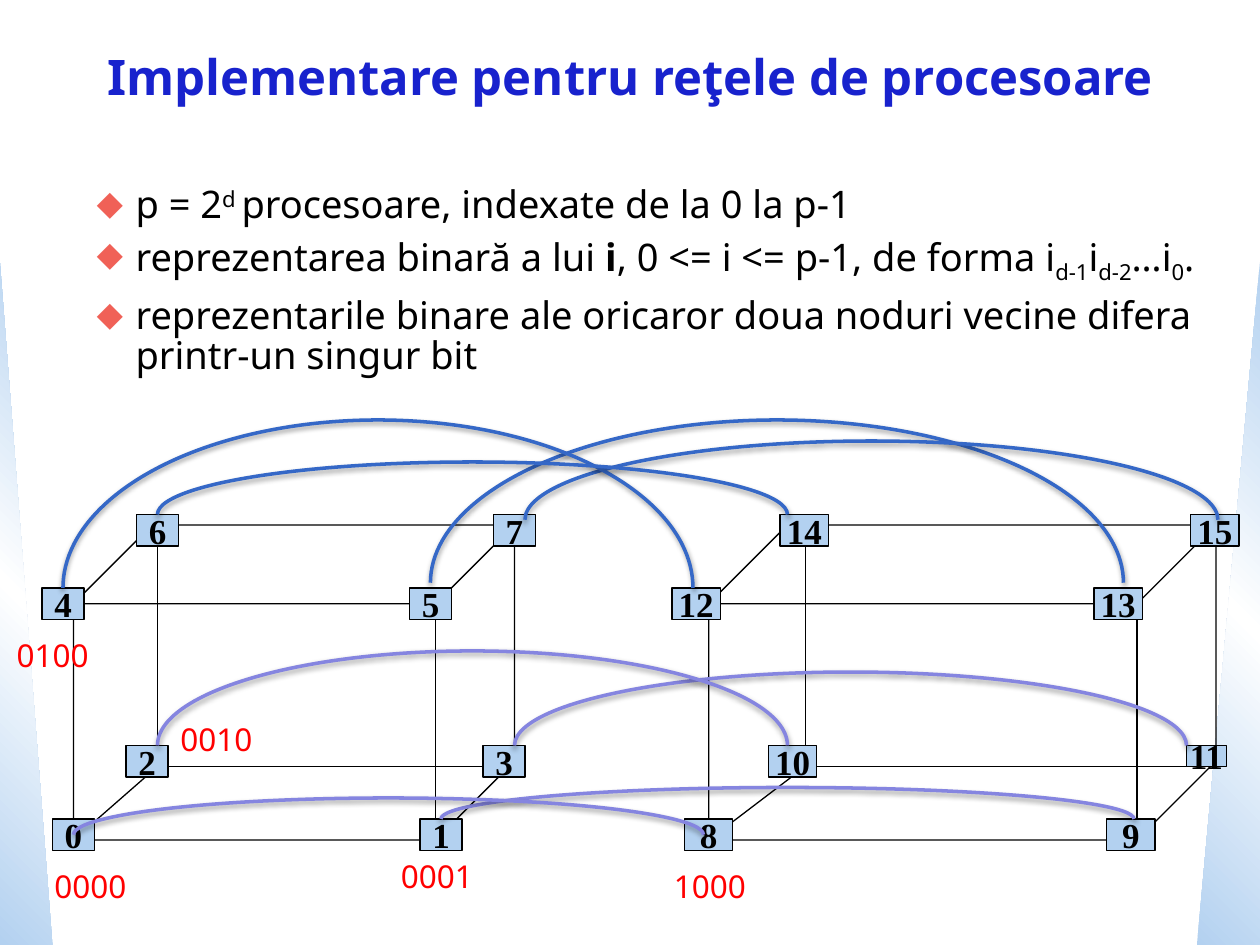
from typing import NamedTuple

from pptx import Presentation
from pptx.dml.color import RGBColor
from pptx.enum.shapes import MSO_CONNECTOR, MSO_SHAPE
from pptx.enum.text import MSO_ANCHOR, MSO_AUTO_SIZE, PP_ALIGN
from pptx.oxml import parse_xml
from pptx.oxml.ns import nsdecls
from pptx.util import Inches, Pt

COLORS = {
    "title": "1822CD", "ink": "000000", "bullet": "F06157", "node": "B3D1F0",
    "upper": "3568C7", "lower": "8585E0", "code": "FF0000", "white": "FFFFFF",
}
SANS, SERIF = "Noto Sans", "Times New Roman"
COLS, ROWS = 120, 90
SUB, SUP = -25, 30
NS = nsdecls("a")


class Box(NamedTuple):
    col: float
    row: float
    cols: float
    rows: float


class Node(NamedTuple):
    name: str
    col: float
    row: float
    cols: float = 4
    rows: float = 3


class Cube(NamedTuple):
    box: Box
    depth: float
    nodes: list


class Arc(NamedTuple):
    box: Box
    color: str


class Code(NamedTuple):
    text: str
    col: float
    row: float


WIDE = 4.6
CUBES = [
    Cube(Box(7, 50, 42, 30), 8, [
        Node("0", 5, 78), Node("1", 40, 78), Node("2", 12, 71), Node("3", 46, 71),
        Node("4", 4, 56), Node("5", 39, 56), Node("6", 13, 49), Node("7", 47, 49),
    ]),
    Cube(Box(67.5, 50, 48.3, 30), 9.2, [
        Node("8", 65.2, 78, WIDE), Node("9", 105.4, 78, WIDE),
        Node("10", 73.2, 71, WIDE), Node("11", 113, 71, 3.8, 2),
        Node("12", 64, 56, WIDE), Node("13", 104.2, 56, WIDE),
        Node("14", 74.3, 49, WIDE), Node("15", 113.4, 49, WIDE),
    ]),
]
ARCS = [
    Arc(Box(41, 40, 66, 31), "upper"), Arc(Box(50, 42, 66, 15), "upper"),
    Arc(Box(6, 40, 60, 32), "upper"), Arc(Box(15, 44, 60, 10), "upper"),
    Arc(Box(42, 75, 66, 6), "lower"), Arc(Box(49, 64, 64, 14), "lower"),
    Arc(Box(7, 76, 60, 7), "lower"), Arc(Box(15, 62, 60, 18), "lower"),
]
CODES = [
    Code("0000", 4, 82), Code("0001", 37, 81), Code("0100", 0.4, 60),
    Code("0010", 16, 68), Code("1000", 63, 82),
]
BULLETS = [
    [("p = 2", {}), ("d ", {"base": SUP}), ("procesoare, indexate de la 0 la p-1", {})],
    [("reprezentarea binară a lui ", {}), ("i", {"bold": True}),
     (", 0 <= i <= p-1, de forma i", {}), ("d-1", {"base": SUB}), ("i", {}),
     ("d-2", {"base": SUB}), ("…i", {}), ("0", {"base": SUB}), (".", {})],
    [("reprezentarile binare ale oricaror doua noduri vecine difera "
      "printr-un singur bit", {})],
]

prs = Presentation()
prs.slide_width, prs.slide_height = Inches(10), Inches(7.5)
slide = prs.slides.add_slide(prs.slide_layouts[1])
shapes = slide.shapes


def x(col: float) -> int:
    return round(prs.slide_width * col / COLS)


def y(row: float) -> int:
    return round(prs.slide_height * row / ROWS)


def place(box: Box) -> tuple:
    return x(box.col), y(box.row), x(box.cols), y(box.rows)


def rgb(name: str) -> RGBColor:
    return RGBColor.from_string(COLORS[name])


def write(p, text: str, *, size: float, font: str = SANS, color: str = "ink",
          bold: bool = False, base: int = 0) -> None:
    r = p.add_run()
    r.text = text
    r.font.size, r.font.name, r.font.bold = Pt(size), font, bold
    r.font.color.rgb = rgb(color)
    if base:
        r._r.get_or_add_rPr().set("baseline", str(base * 1000))


def add_outline(kind, box: Box, color: str = "ink", width: float = 0.75):
    sp = shapes.add_shape(kind, *place(box))
    sp.shadow.inherit = False
    sp.fill.background()
    sp.line.color.rgb, sp.line.width = rgb(color), Pt(width)
    return sp


def add_corner(box: Box, angle: int, flipped: bool = False) -> None:
    sp = add_outline(MSO_SHAPE.RIGHT_TRIANGLE, box)
    sp.line.fill.background()
    sp.fill.gradient()
    grad = sp._element.spPr.find(".//{*}gradFill")
    stops = "".join(
        f'<a:gs pos="{pos}000"><a:srgbClr val="{COLORS[name]}"/></a:gs>'
        for pos, name in ((0, "node"), (50, "white"), (100, "node")))
    grad.getparent().replace(grad, parse_xml(
        f'<a:gradFill {NS} rotWithShape="1"><a:gsLst>{stops}</a:gsLst>'
        f'<a:lin ang="{angle * 60000}" scaled="1"/></a:gradFill>'))
    if flipped:
        sp._element.spPr.xfrm.set("flipH", "1")


def add_line(start: tuple, end: tuple) -> None:
    line = shapes.add_connector(MSO_CONNECTOR.STRAIGHT, x(start[0]), y(start[1]),
                                x(end[0]), y(end[1]))
    line.line.color.rgb, line.line.width = rgb("ink"), Pt(0.75)
    line._element.spPr.append(parse_xml(f"<a:effectLst {NS}/>"))


def add_node(node: Node) -> None:
    sp = add_outline(MSO_SHAPE.RECTANGLE, Box(*node[1:]))
    sp.fill.solid()
    sp.fill.fore_color.rgb = rgb("node")
    tf = sp.text_frame
    tf.word_wrap, tf.vertical_anchor = False, MSO_ANCHOR.MIDDLE
    tf.margin_left = tf.margin_right = tf.margin_top = tf.margin_bottom = 0
    p = tf.paragraphs[0]
    p.alignment = PP_ALIGN.CENTER
    write(p, node.name, size=20, font=SERIF, bold=True)


def add_cube(cube: Cube) -> None:
    box = cube.box
    sp = add_outline(MSO_SHAPE.CUBE, box)
    sp.adjustments[0] = 0.25
    corner = (box.col + cube.depth, box.row + 23)
    for end in ((corner[0], box.row), (box.col + box.cols, corner[1]),
                (box.col, box.row + box.rows)):
        add_line(corner, end)
    for node in cube.nodes:
        add_node(node)


def add_arc(arc: Arc) -> None:
    sp = add_outline(MSO_SHAPE.ARC, arc.box, arc.color, 2)
    sp.adjustments[0], sp.adjustments[1] = 108, 0
    sp._element.spPr.find("{*}effectLst").append(parse_xml(
        f'<a:outerShdw {NS} blurRad="{Pt(3.1)}" dist="{Pt(1.6)}" dir="5400000" '
        f'rotWithShape="0"><a:srgbClr val="{COLORS["ink"]}">'
        '<a:alpha val="38000"/></a:srgbClr></a:outerShdw>'))


def add_code(code: Code) -> None:
    tf = shapes.add_textbox(*place(Box(code.col, code.row, 10, 4.8))).text_frame
    tf.word_wrap = True
    write(tf.paragraphs[0], code.text, size=18, color="code")


def fill_placeholder(sp, box: Box, anchor):
    sp.left, sp.top, sp.width, sp.height = place(box)
    tf = sp.text_frame
    tf.auto_size, tf.vertical_anchor, tf.word_wrap = MSO_AUTO_SIZE.NONE, anchor, True
    return tf


def add_bullet(p, runs: list, first: bool) -> None:
    p.level = 1
    pPr = p._p.get_or_add_pPr()
    pPr.set("marL", str(Inches(0.81)))
    pPr.set("indent", str(Inches(-0.31)))
    pPr.append(parse_xml(
        f'<a:buClr {NS}><a:srgbClr val="{COLORS["bullet"]}"/></a:buClr>'))
    pPr.append(parse_xml(f'<a:buChar {NS} char="⬥"/>'))
    p.line_spacing = 0.87
    p.space_before, p.space_after = Pt(0 if first else 5), Pt(0 if first else 5)
    for text, style in runs:
        write(p, text, size=21.7, **style)


add_corner(Box(0, 25, 5, 65), 315)
add_corner(Box(114, 25, 6, 65), 45, flipped=True)

tf = fill_placeholder(shapes.title, Box(1.5, 0.25, 117, 14), MSO_ANCHOR.MIDDLE)
tf.paragraphs[0].alignment = PP_ALIGN.CENTER
write(tf.paragraphs[0], "Implementare pentru reţele de procesoare",
      size=28, color="title", bold=True)

tf = fill_placeholder(slide.placeholders[1], Box(2, 17.2, 116, 21.8), MSO_ANCHOR.TOP)
for i, runs in enumerate(BULLETS):
    add_bullet(tf.add_paragraph() if i else tf.paragraphs[0], runs, first=not i)

for cube in CUBES:
    add_cube(cube)
for arc in ARCS:
    add_arc(arc)
for code in CODES:
    add_code(code)

prs.save("out.pptx")
